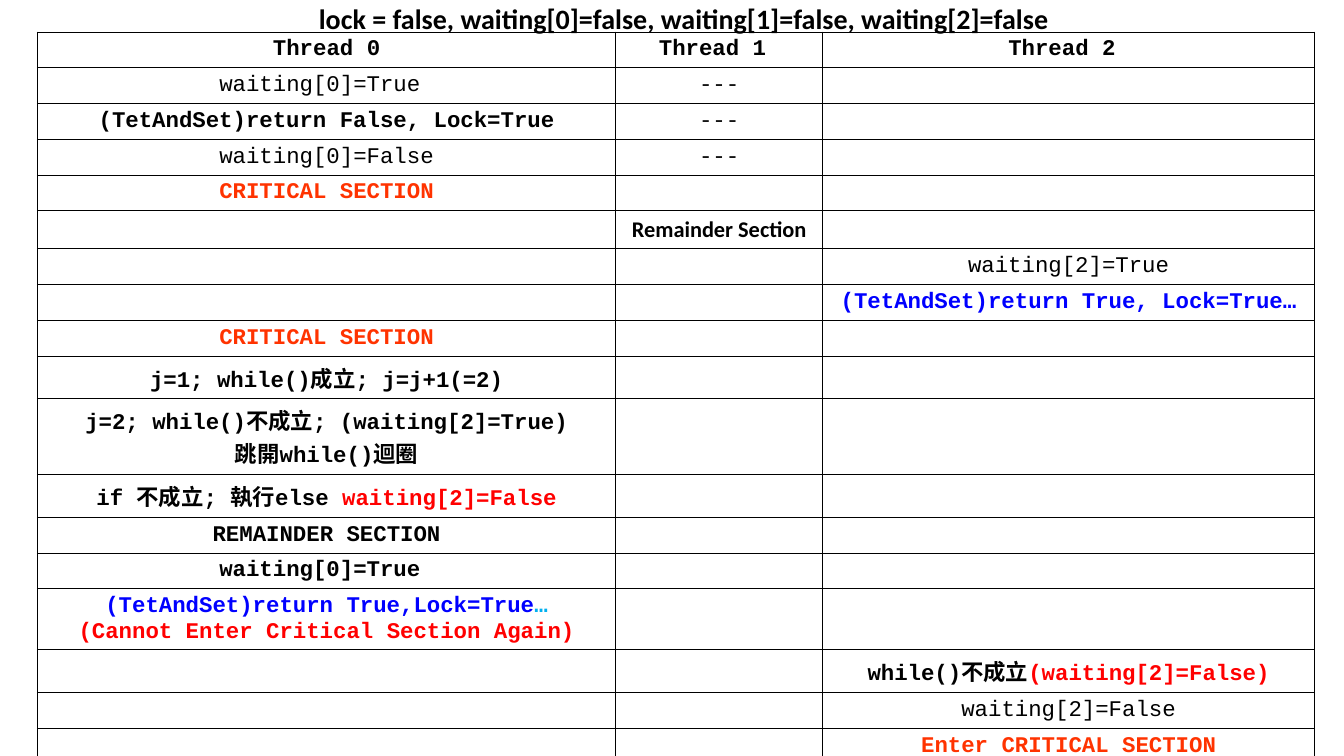
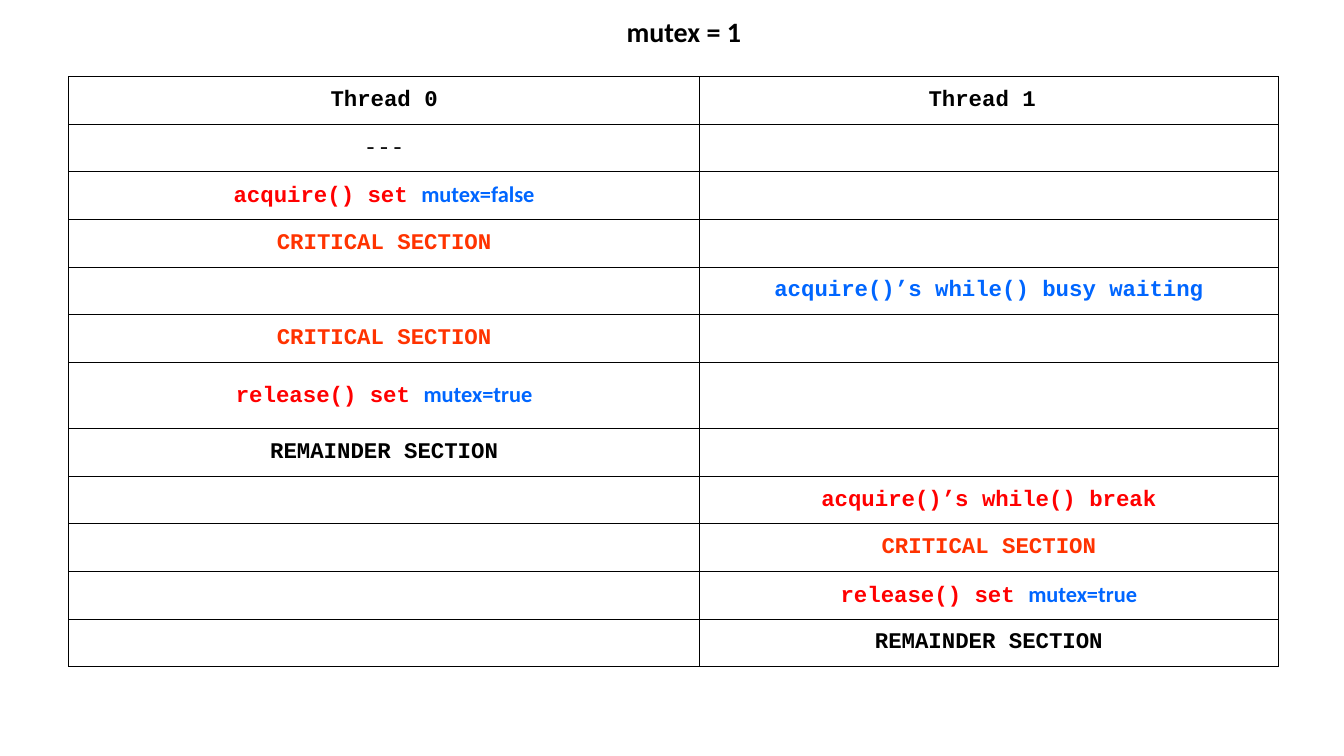
from dataclasses import dataclass
from lxml import etree
from pptx import Presentation
from pptx.dml import color as dml
from pptx.enum import text as t
from pptx.oxml import ns
from pptx.util import Cm, Pt


@dataclass(frozen=True)
class Theme:
    """Colours, fonts and sizes shared by both slides."""
    black: str = "000000"
    critical: str = "FF3300"
    alert: str = "FF0000"
    waiting: str = "0000FF"
    mutex: str = "0066FF"
    ellipsis: str = "00B0F0"
    code: str = "Courier New"
    prose: str = "Calibri"
    body_size: int = 16
    title_size: int = 20
    border: float = 0.75


THEME = Theme()


def fragment(text, **style):
    """Pair a piece of text with its format."""
    return text, style


def plain(text):
    """Describe a step in regular weight."""
    return fragment(text, bold=False)


def alert(text):
    """Describe a step in red."""
    return fragment(text, color=THEME.alert)


def waiting(text):
    """Describe a blocked step."""
    return fragment(text, color=THEME.waiting)


def mutex(text):
    """Describe a new value of the mutex."""
    return fragment(text, font=THEME.prose, color=THEME.mutex)


CRITICAL = fragment("CRITICAL SECTION", color=THEME.critical)
REMAINDER = fragment("REMAINDER SECTION")
IDLE = plain("---")
RELEASE = [[alert("release() set "), mutex("mutex=true")]]

LINE, PROSE_LINE, CJK_LINE = 0.89, 0.96, 1.08
TEST_AND_SET_STEPS = [
    (LINE, {0: fragment("Thread 0"), 1: fragment("Thread 1 "), 2: fragment("Thread 2 ")}),
    (LINE, {0: plain("waiting[0]=True "), 1: IDLE}),
    (LINE, {0: fragment("(TetAndSet)return False, Lock=True"), 1: IDLE}),
    (LINE, {0: plain("waiting[0]=False"), 1: IDLE}),
    (LINE, {0: CRITICAL}),
    (PROSE_LINE, {1: fragment("Remainder Section", font=THEME.prose)}),
    (LINE, {2: plain("waiting[2]=True")}),
    (LINE, {2: waiting("(TetAndSet)return True, Lock=True…")}),
    (LINE, {0: CRITICAL}),
    (CJK_LINE, {0: fragment("j=1; while()成立; j=j+1(=2)")}),
    (1.89, {0: [[fragment("j=2; while()不成立; (waiting[2]=True)")],
                [fragment("跳開while()迴圈")]]}),
    (CJK_LINE, {0: [[fragment("if 不成立; 執行else "), alert("waiting[2]=False")]]}),
    (LINE, {0: REMAINDER}),
    (LINE, {0: fragment("waiting[0]=True ")}),
    (1.53, {0: [[waiting("(TetAndSet)return True,Lock=True"),
                 fragment("…", color=THEME.ellipsis)],
                [alert("(Cannot Enter Critical Section Again)")]]}),
    (CJK_LINE, {2: [[fragment("while()不成立"), alert("(waiting[2]=False)")]]}),
    (LINE, {2: plain("waiting[2]=False")}),
    (LINE, {2: fragment("Enter CRITICAL SECTION", color=THEME.critical)}),
]

STEP, TALL_STEP = 1.2, 1.67
MUTEX_STEPS = [
    (STEP, {0: fragment("Thread 0"), 1: fragment("Thread 1 ")}),
    (STEP, {0: IDLE}),
    (STEP, {0: [[alert("acquire() set "), mutex("mutex=false")]]}),
    (STEP, {0: CRITICAL}),
    (STEP, {1: fragment("acquire()’s while() busy waiting", color=THEME.mutex)}),
    (STEP, {0: CRITICAL}),
    (TALL_STEP, {0: RELEASE}),
    (STEP, {0: REMAINDER}),
    (STEP, {1: alert("acquire()’s while() break")}),
    (STEP, {1: CRITICAL}),
    (STEP, {1: RELEASE}),
    (STEP, {1: REMAINDER}),
]


def write(paragraph, text, *, font=THEME.code, size=THEME.body_size,
          color=THEME.black, bold=True):
    """Add centred, formatted text to a paragraph."""
    paragraph.alignment = t.PP_ALIGN.CENTER
    run = paragraph.add_run()
    run.text = text
    run.font.name = font
    run.font.size = Pt(size)
    run.font.bold = bold
    run.font.color.rgb = dml.RGBColor.from_string(color)


def outline(cell):
    """Draw a thin border on the four sides of a cell."""
    properties = cell._tc.get_or_add_tcPr()
    for position, side in enumerate(("lnL", "lnR", "lnT", "lnB")):
        line = etree.Element(ns.qn(f"a:{side}"), w=str(Pt(THEME.border)))
        fill = etree.SubElement(line, ns.qn("a:solidFill"))
        etree.SubElement(fill, ns.qn("a:srgbClr"), val=THEME.black)
        properties.insert(position, line)


def fill_cell(cell, content):
    """Format one cell and write its lines, if it has any."""
    cell.fill.background()
    outline(cell)
    cell.vertical_anchor = t.MSO_ANCHOR.MIDDLE
    cell.margin_left = cell.margin_right = Cm(0.33)
    cell.margin_top = cell.margin_bottom = Cm(0.13 if content else 0)
    lines = [[content]] if isinstance(content, tuple) else content or []
    for number, line in enumerate(lines):
        frame = cell.text_frame
        paragraph = frame.add_paragraph() if number else frame.paragraphs[0]
        for text, style in line:
            write(paragraph, text, **style)


def add_trace(slide, left, top, widths, steps):
    """Place the table of thread steps with its corner at left, top."""
    height = sum(step_height for step_height, _ in steps)
    trace = slide.shapes.add_table(len(steps), len(widths), Cm(left), Cm(top),
                                   Cm(sum(widths)), Cm(height)).table
    trace.first_row = trace.horz_banding = False
    for column, width in zip(trace.columns, widths):
        column.width = Cm(width)
    for row, (step_height, cells) in zip(trace.rows, steps):
        row.height = Cm(step_height)
        for thread, cell in enumerate(row.cells):
            fill_cell(cell, cells.get(thread))


def add_title(slide, top, text):
    """Place the initial state as a centred title."""
    title = slide.shapes.add_textbox(Cm(6.53), Cm(top), Cm(21.41), Cm(1.12))
    frame = title.text_frame
    frame.word_wrap = True
    frame.auto_size = t.MSO_AUTO_SIZE.SHAPE_TO_FIT_TEXT
    write(frame.paragraphs[0], text, font=THEME.prose, size=THEME.title_size)


def add_trace_slide(deck, title, title_top, left, top, widths, steps):
    """Add a slide that traces threads from an initial state."""
    slide = deck.slides.add_slide(deck.slide_layouts[6])
    add_trace(slide, left, top, widths, steps)
    add_title(slide, title_top, title)


def main():
    """Build and save the deck."""
    deck = Presentation()
    deck.slide_width, deck.slide_height = Cm(33.87), Cm(19.05)
    add_trace_slide(
        deck, "lock = false, waiting[0]=false, waiting[1]=false, waiting[2]=false",
        -0.08, 0.94, 0.81, (14.58, 5.21, 12.4), TEST_AND_SET_STEPS)
    add_trace_slide(deck, "mutex = 1", 0.25, 1.73, 1.93, (15.9, 14.58), MUTEX_STEPS)
    deck.save("out.pptx")


if __name__ == "__main__":
    main()
